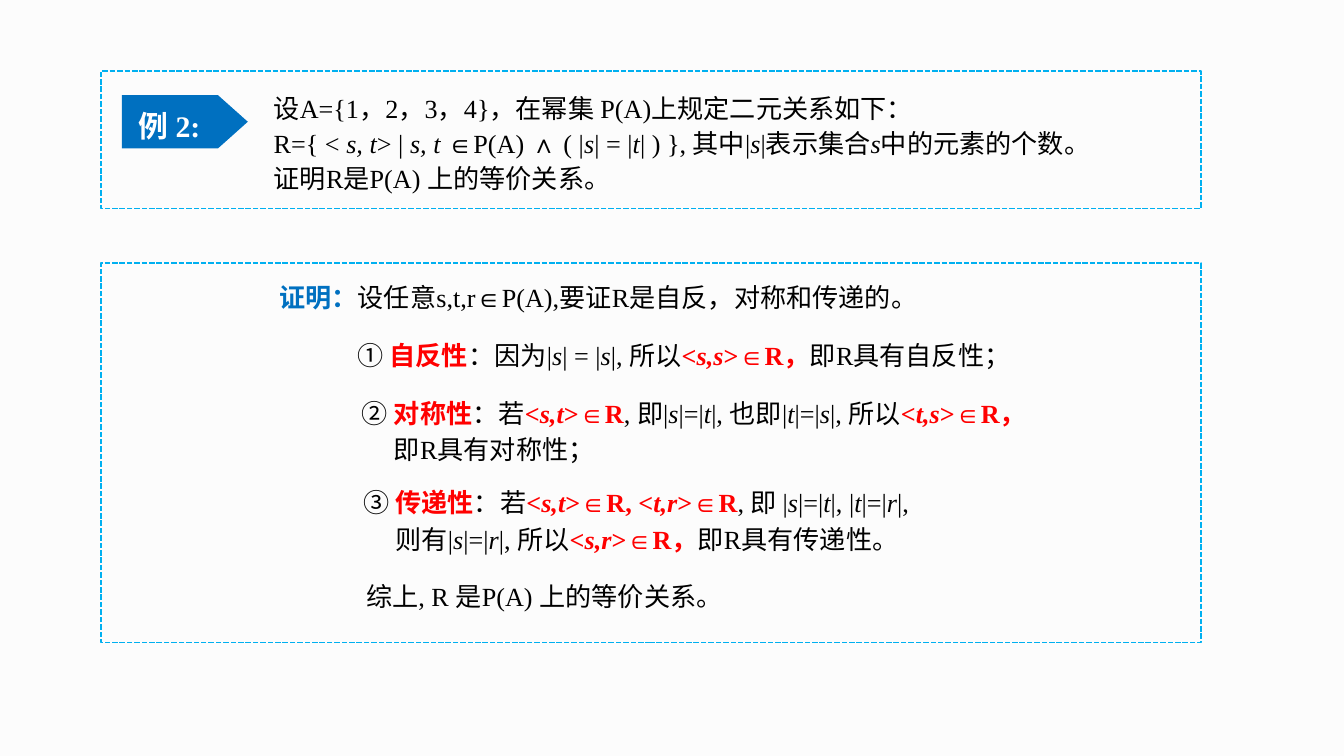
from dataclasses import dataclass

import pptx
import pptx.dml.color
import pptx.enum.dml
import pptx.enum.shapes
import pptx.enum.text
import pptx.util

RGBColor = pptx.dml.color.RGBColor
SHAPES = pptx.enum.shapes.MSO_SHAPE

BLACK = RGBColor(0x00, 0x00, 0x00)
WHITE = RGBColor(0xFF, 0xFF, 0xFF)
PAPER = RGBColor(0xFC, 0xFC, 0xFC)
BLUE = RGBColor(0x00, 0x70, 0xC0)
SKY = RGBColor(0x00, 0xB0, 0xF0)
RED = RGBColor(0xFF, 0x00, 0x00)

FONT = "Times New Roman"
EMU_PER_PX = 9525
CONTINUATION_INDENT = 23


@dataclass(frozen=True)
class Box:
    left: int
    top: int
    width: int
    height: int

    def emu(self):
        return [px(n) for n in (self.left, self.top, self.width, self.height)]


@dataclass(frozen=True)
class Passage:
    """Paragraphs in which _..._ is italic and *...* is bold in the accent colour."""
    box: Box
    paragraphs: tuple[str, ...]
    accent: RGBColor = RED
    line_pt: int | None = None


FRAMES = [Box(72, 51, 786, 98), Box(72, 188, 786, 271)]
TAG = Box(87, 68, 90, 38)

PASSAGES = [
    Passage(Box(186, 58, 662, 86), (
        "设A={1，2，3，4}，在幂集 P(A)上规定二元关系如下：\n"
        "R={ < _s, t_> | _s, t _∈P(A) ∧ ( |_s_| = |_t_| ) }, "
        "其中|_s_|表示集合_s_中的元素的个数。\n"
        "证明R是P(A) 上的等价关系。",), line_pt=19),
    Passage(Box(190, 196, 650, 33), (
        "*证明：*设任意s,t,r∈P(A),要证R是自反，对称和传递的。",), accent=BLUE),
    Passage(Box(246, 238, 594, 33), (
        "① *自反性*：因为|_s_| = |_s_|, 所以*<_s,s_>∈R，*即R具有自反性；",)),
    Passage(Box(249, 279, 577, 60), (
        "② *对称性*：若*<_s,t_>∈R*, 即|_s_|=|_t_|, 也即|_t_|=|_s_|, "
        "所以*<_t,s_>∈R，*",
        "即R具有对称性；")),
    Passage(Box(250, 343, 500, 60), (
        "③ *传递性*：若*<_s,t_>∈R, <_t,r_>∈R*, 即 |_s_|=|_t_|, |_t_|=|_r_|,",
        "则有|_s_|=|_r_|, 所以*<_s,r_>∈R，*即R具有传递性。")),
    Passage(Box(252, 410, 446, 33), ("综上, R 是P(A) 上的等价关系。",)),
]


def px(n: int) -> int:
    return pptx.util.Emu(n * EMU_PER_PX)


def write(p, text: str, *, size=14, color=BLACK, bold=False, italic=False) -> None:
    for i, line in enumerate(text.split("\n")):
        if i:
            p.add_line_break()
        if line:
            r = p.add_run()
            r.text = line
            r.font.name = FONT
            r.font.size = pptx.util.Pt(size)
            r.font.color.rgb = color
            r.font.bold = bold
            r.font.italic = italic


def write_marked(p, text: str, accent: RGBColor) -> None:
    """Turn the _ and * marks of a passage into formatted runs."""
    italic = False
    for i, stretch in enumerate(text.split("*")):
        strong = i % 2 == 1
        for j, piece in enumerate(stretch.split("_")):
            italic = j % 2 == 1
            write(p, piece, color=accent if strong else BLACK,
                  bold=strong, italic=italic)


def add_passage(slide, passage: Passage) -> None:
    tf = slide.shapes.add_textbox(*passage.box.emu()).text_frame
    tf.word_wrap = True
    tf.auto_size = pptx.enum.text.MSO_AUTO_SIZE.SHAPE_TO_FIT_TEXT
    for i, text in enumerate(passage.paragraphs):
        p = tf.add_paragraph() if i else tf.paragraphs[0]
        if i:
            p.space_before = pptx.util.Pt(2.8)
            p._p.get_or_add_pPr().set("marL", str(px(CONTINUATION_INDENT)))
        if passage.line_pt:
            p.line_spacing = pptx.util.Pt(passage.line_pt)
        write_marked(p, text, passage.accent)


def add_frame(slide, box: Box) -> None:
    sp = slide.shapes.add_shape(SHAPES.RECTANGLE, *box.emu())
    sp.shadow.inherit = False
    sp.fill.background()
    sp.line.color.rgb = SKY
    sp.line.width = pptx.util.Pt(1)
    sp.line.dash_style = pptx.enum.dml.MSO_LINE.SQUARE_DOT
    # SQUARE_DOT is stored as sysDot; the frames use the longer sysDash.
    sp.line._ln.prstDash.set("val", "sysDash")


def add_tag(slide, box: Box, text: str) -> None:
    sp = slide.shapes.add_shape(SHAPES.PENTAGON, *box.emu())
    sp.adjustments[0] = 0.56
    sp.shadow.inherit = False
    sp.fill.solid()
    sp.fill.fore_color.rgb = BLUE
    sp.line.fill.background()
    tf = sp.text_frame
    tf.margin_left, tf.margin_right = px(4), px(15)
    tf.vertical_anchor = pptx.enum.text.MSO_ANCHOR.MIDDLE
    p = tf.paragraphs[0]
    p.alignment = pptx.enum.text.PP_ALIGN.CENTER
    p.line_spacing = 1.2
    write(p, text, size=16, color=WHITE, bold=True)


def main() -> None:
    prs = pptx.Presentation()
    prs.slide_width, prs.slide_height = px(960), px(540)
    s = prs.slides.add_slide(prs.slide_layouts[6])
    s.background.fill.solid()
    s.background.fill.fore_color.rgb = PAPER
    for frame in FRAMES:
        add_frame(s, frame)
    for passage in PASSAGES:
        add_passage(s, passage)
    add_tag(s, TAG, "例 2:")
    prs.save("out.pptx")


if __name__ == "__main__":
    main()
